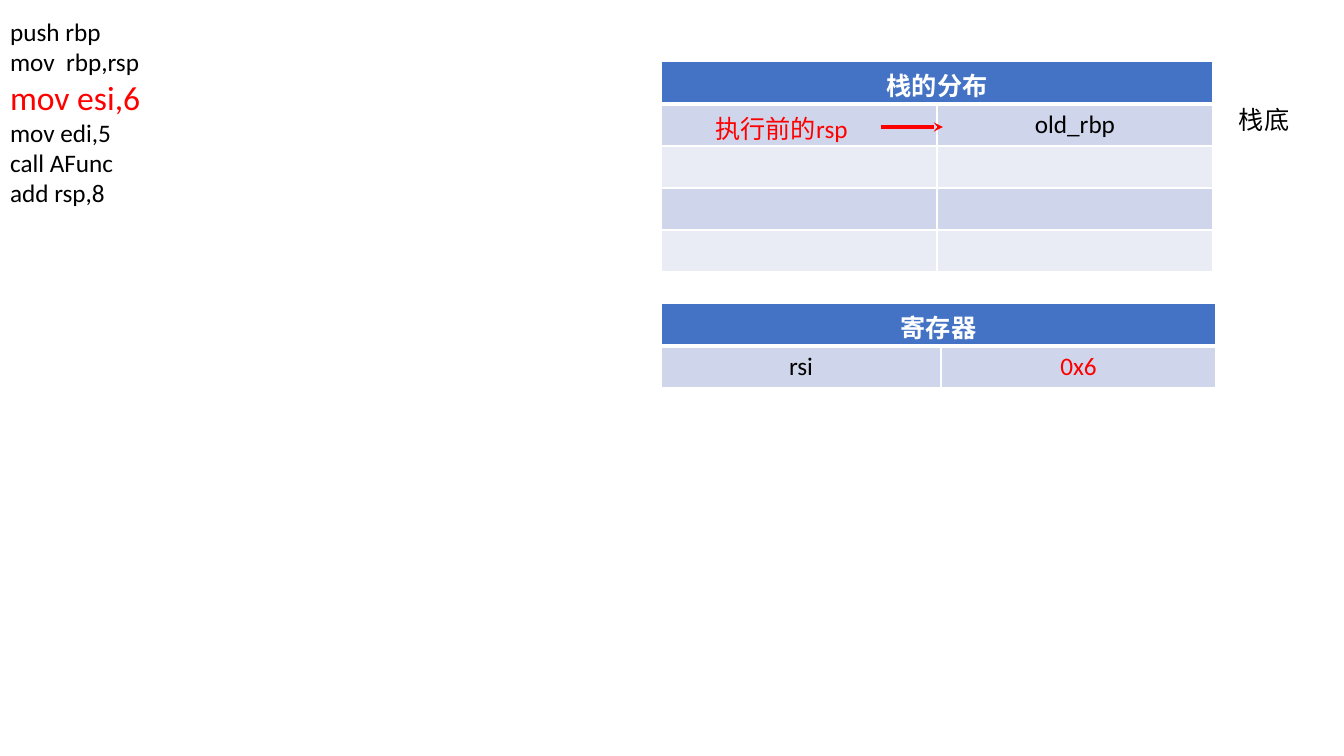
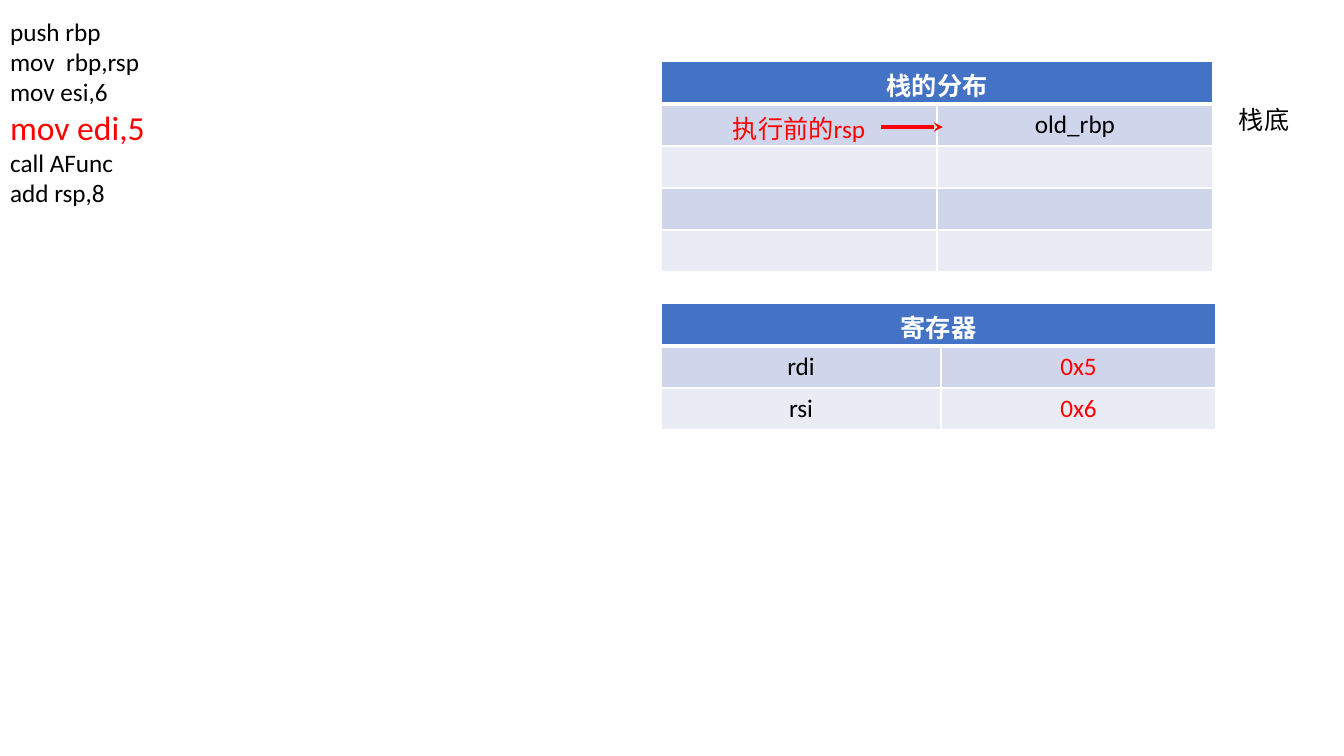
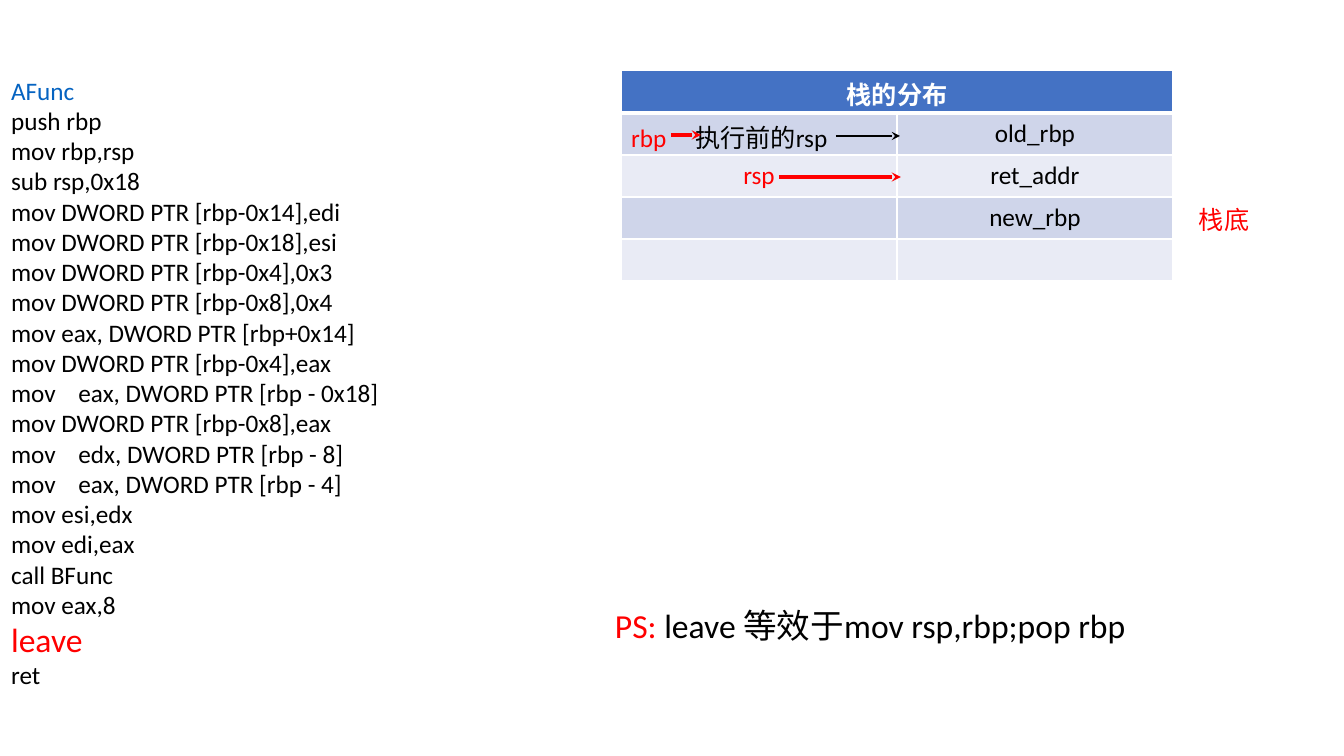
from dataclasses import dataclass

from lxml.etree import SubElement
from pptx import Presentation
from pptx.dml.color import RGBColor
from pptx.enum.shapes import MSO_CONNECTOR
from pptx.enum.text import MSO_ANCHOR, MSO_AUTO_SIZE, PP_ALIGN
from pptx.oxml.ns import qn
from pptx.util import Pt


class Theme:
    font = "Calibri"
    black, white, red, blue = "000000", "FFFFFF", "FF0000", "0563C1"
    header, bands = "4472C4", ("CFD5EA", "E9EBF5")
    body_size, large_size = 18, 24
    border, header_rule = 1, 3
    thick_arrow, thin_arrow = 2.25, 1.5


@dataclass
class Cell:
    """Runs are (text, colour) pairs; right_gap and tab are in px."""
    runs: tuple = ()
    align: PP_ALIGN = PP_ALIGN.CENTER
    right_gap: int = 10
    tab: int = 0


def plain(text):
    return Cell(((text, Theme.black),))


def red(text, **options):
    return Cell(((text, Theme.red),), **options)


EMPTY_ROW = (Cell(), Cell())
STACK_TITLE, REGISTER_TITLE, STACK_BOTTOM = "栈的分布", "寄存器", "栈底"
STACK_COLUMNS, REGISTER_COLUMNS = (276, 276), (280, 275)
HEADER_HEIGHT, ROW_HEIGHT = 43, 42

MAIN_CODE = ["push rbp", "mov  rbp,rsp", "mov esi,6", "mov edi,5", "call AFunc", "add rsp,8"]
AFUNC_CODE = [
    "AFunc", "push rbp", "mov rbp,rsp", "sub rsp,0x18",
    "mov DWORD PTR [rbp-0x14],edi", "mov DWORD PTR [rbp-0x18],esi",
    "mov DWORD PTR [rbp-0x4],0x3", "mov DWORD PTR [rbp-0x8],0x4",
    "mov eax, DWORD PTR [rbp+0x14]", "mov DWORD PTR [rbp-0x4],eax",
    "mov    eax, DWORD PTR [rbp - 0x18]", "mov DWORD PTR [rbp-0x8],eax",
    "mov    edx, DWORD PTR [rbp - 8]", "mov    eax, DWORD PTR [rbp - 4]",
    "mov esi,edx", "mov edi,eax", "call BFunc", "mov eax,8", "leave", "ret",
]
NOTE = (("PS: ", Theme.red), ("leave 等效于mov rsp,rbp;pop rbp", Theme.black))


def main_step(current, rsp_gap, registers):
    """A step of the caller: only the current line, label gap and registers differ."""
    rsp = red("执行前的rsp", right_gap=rsp_gap)
    return {
        "code": (MAIN_CODE, current, (0, 11, 506, 756)),
        "tables": [
            (STACK_TITLE, (661, 61), STACK_COLUMNS,
             [(rsp, plain("old_rbp"))] + [EMPTY_ROW] * 3),
            (REGISTER_TITLE, (661, 303), REGISTER_COLUMNS,
             [(plain(name), red(value)) for name, value in registers]),
        ],
        "labels": [(((STACK_BOTTOM, Theme.black),), Theme.body_size, (1229, 99, 72, 40))],
        "arrows": [(881, 943, 127, Theme.red, Theme.thick_arrow)],
    }


SLIDES = [
    main_step(2, 45, [("rsi", "0x6")]),
    main_step(3, 10, [("rdi", "0x5"), ("rsi", "0x6")]),
    {
        "code": (AFUNC_CODE, 18, (1, 70, 506, 686)),
        "tables": [(STACK_TITLE, (621, 70), STACK_COLUMNS, [
            (Cell((("rbp\t", Theme.red), ("执行前的rsp", Theme.black)),
                  align=PP_ALIGN.LEFT, tab=64), plain("old_rbp")),
            (red("rsp"), plain("ret_addr")),
            (Cell(), plain("new_rbp")),
            EMPTY_ROW,
        ])],
        "labels": [
            (NOTE, Theme.large_size, (605, 600, 672, 92)),
            (((STACK_BOTTOM, Theme.red),), Theme.body_size, (1189, 199, 72, 40)),
        ],
        "arrows": [
            (779, 901, 177, Theme.red, Theme.thick_arrow),
            (836, 900, 136, Theme.black, Theme.thin_arrow),
            (671, 701, 135, Theme.red, Theme.thick_arrow),
        ],
    },
]


def px(length):
    return round(length * 914400 / 100.8)


def color(value):
    return RGBColor.from_string(value)


def add_runs(paragraph, runs, size, bold=False):
    for text, run_color in runs:
        run = paragraph.add_run()
        run.text = text
        run.font.name = Theme.font
        run.font.size = Pt(size)
        run.font.bold = bold
        run.font.color.rgb = color(run_color)


def add_code(slide, lines, current, place):
    body = slide.placeholders[1]
    body.left, body.top, body.width, body.height = map(px, place)
    frame = body.text_frame
    frame.auto_size = MSO_AUTO_SIZE.NONE
    for index, line in enumerate(lines):
        paragraph = frame.paragraphs[0] if index == 0 else frame.add_paragraph()
        paragraph.space_before = Pt(0)
        properties = paragraph._p.get_or_add_pPr()
        properties.set("marL", "0")
        properties.set("indent", "0")
        SubElement(properties, qn("a:buNone"))
        is_current = index == current
        line_color = (Theme.red if is_current
                      else Theme.blue if line == "AFunc" else Theme.black)
        size = Theme.large_size if is_current else Theme.body_size
        add_runs(paragraph, [(line, line_color)], size)


def add_label(slide, runs, size, place):
    frame = slide.shapes.add_textbox(*map(px, place)).text_frame
    frame.word_wrap = True
    add_runs(frame.paragraphs[0], runs, size)


def set_borders(cell, top, bottom):
    properties = cell._tc.get_or_add_tcPr()
    widths = {"lnL": Theme.border, "lnR": Theme.border, "lnT": top, "lnB": bottom}
    for side, width in widths.items():
        line = SubElement(properties, qn(f"a:{side}"), w=str(Pt(width)))
        fill = SubElement(line, qn("a:solidFill"))
        SubElement(fill, qn("a:srgbClr"), val=Theme.white)


def fill_cell(cell, content, row):
    set_borders(cell,
                Theme.header_rule if row == 1 else Theme.border,
                Theme.header_rule if row == 0 else Theme.border)
    cell.fill.solid()
    cell.fill.fore_color.rgb = color(Theme.bands[(row - 1) % 2] if row else Theme.header)
    cell.vertical_anchor = MSO_ANCHOR.MIDDLE
    cell.margin_right = px(content.right_gap)
    paragraph = cell.text_frame.paragraphs[0]
    paragraph.alignment = content.align
    if content.tab:
        tabs = SubElement(paragraph._p.get_or_add_pPr(), qn("a:tabLst"))
        SubElement(tabs, qn("a:tab"), pos=str(px(content.tab)), algn="l")
    add_runs(paragraph, content.runs, Theme.body_size, bold=row == 0)


def add_grid(slide, title, corner, widths, rows):
    header = (Cell(((title, Theme.white),)), Cell())
    heights = [HEADER_HEIGHT] + [ROW_HEIGHT] * len(rows)
    size = (sum(widths), sum(heights))
    table = slide.shapes.add_table(
        len(heights), len(widths), *map(px, corner + size)).table
    for column, width in zip(table.columns, widths):
        column.width = px(width)
    for index, (height, contents) in enumerate(zip(heights, [header] + rows)):
        table.rows[index].height = px(height)
        for column, content in enumerate(contents):
            fill_cell(table.cell(index, column), content, index)
    table.cell(0, 0).merge(table.cell(0, len(widths) - 1))


def add_arrow(slide, start, end, y, line_color, width):
    arrow = slide.shapes.add_connector(
        MSO_CONNECTOR.STRAIGHT, px(start), px(y), px(end), px(y))
    arrow.line.color.rgb = color(line_color)
    arrow.line.width = Pt(width)
    SubElement(arrow.line._get_or_add_ln(), qn("a:tailEnd"), type="stealth")
    SubElement(arrow._element.spPr, qn("a:effectLst"))


def main():
    presentation = Presentation()
    presentation.slide_width, presentation.slide_height = px(1344), px(756)
    for content in SLIDES:
        slide = presentation.slides.add_slide(presentation.slide_layouts[1])
        title = slide.shapes.title._element
        title.getparent().remove(title)
        add_code(slide, *content["code"])
        for label in content["labels"]:
            add_label(slide, *label)
        for table in content["tables"]:
            add_grid(slide, *table)
        for arrow in content["arrows"]:
            add_arrow(slide, *arrow)
    presentation.save("out.pptx")


if __name__ == "__main__":
    main()
